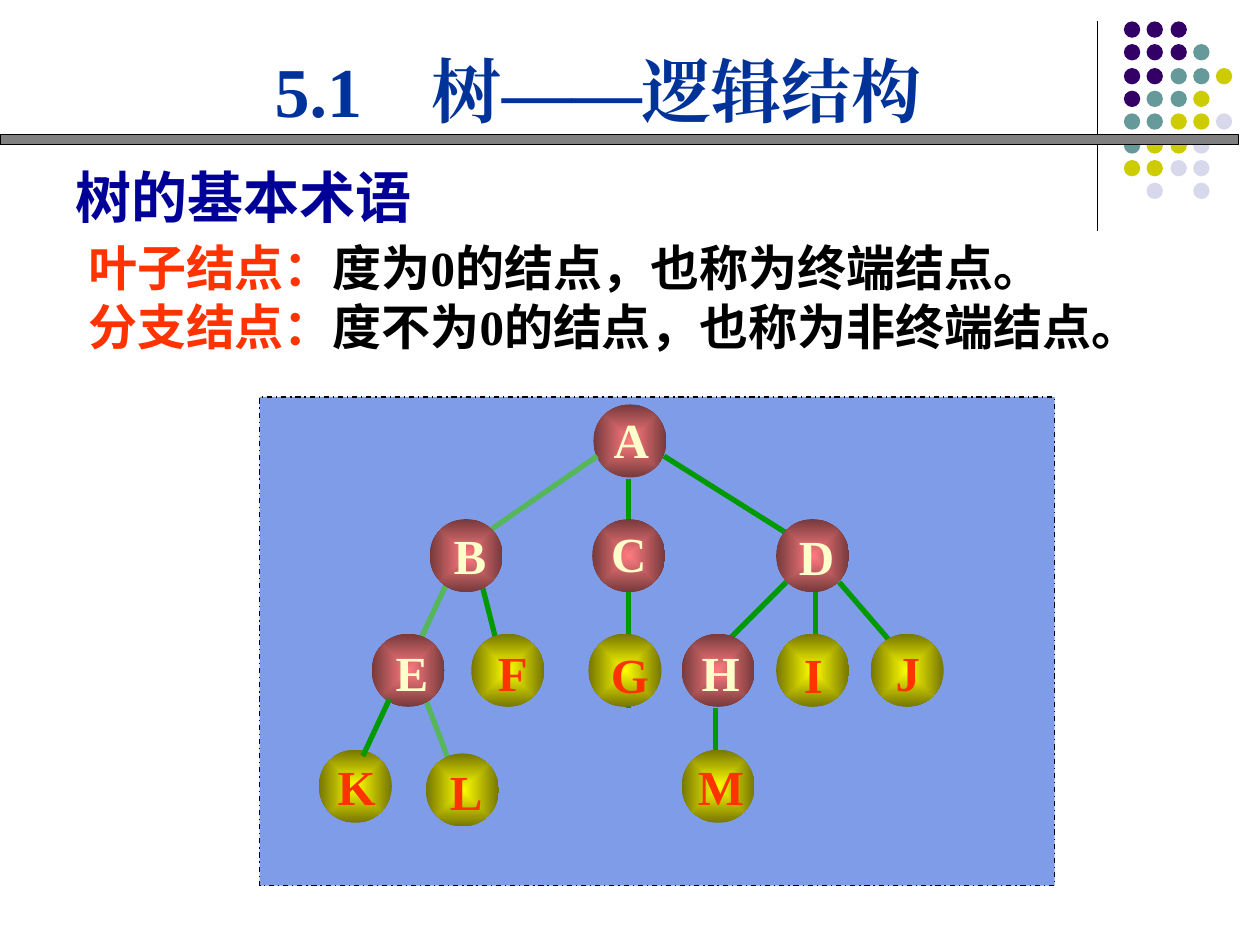
from lxml import etree
from pptx import Presentation
from pptx import util as u
from pptx.dml.color import RGBColor
from pptx.enum import dml, shapes, text
from pptx.oxml import ns

PX = 9144
SERIF, SANS, HEADING = "Times New Roman", "Noto Sans CJK SC", "Arial"
BLACK, GREEN, PALE_GREEN, RED, CREAM = "000000", "009900", "55B75A", "FF3300", "FFFFCC"
DOT_COLOURS = {"P": "330066", "T": "669999", "Y": "CCCC00", "L": "D8D8EC"}
DOT_ROWS = ["PPP", "PPPT", "PPTTY", "PTTY", "TTYYL", "TYYL", "YYLL", ".L.L"]
NODE_SIZE = 58
BRANCH, LEAF = ("FF7C80", "76393B", CREAM), ("FFFF00", "767600", RED)
ROOT = ("A", 471, 321, BRANCH, (477, 320, 48))
NODES = [
    ("B", 341, 412, BRANCH, (350, 412, 46)),
    ("C", 470, 412, BRANCH, (475, 410, 48)),
    ("D", 616, 412, BRANCH, (624, 413, 48)),
    ("E", 295, 503, BRANCH, (304, 505, 46)),
    ("F", 374, 503, LEAF, (385, 505, 44)),
    ("G", 467, 503, LEAF, (475, 506, 50)),
    ("H", 541, 503, BRANCH, (547, 505, 50)),
    ("I", 616, 503, LEAF, (628, 506, 35)),
    ("J", 691, 503, LEAF, (701, 505, 39)),
    ("K", 253, 595, LEAF, (258, 595, 50)),
    ("L", 338, 598, LEAF, (347, 599, 46)),
    ("M", 541, 595, LEAF, (544, 595, 56)),
]
EDGES = [
    (666, 462, 716, 520, GREEN),
    (624, 462, 574, 512, GREEN),
    (647, 470, 647, 512, GREEN),
    (568, 562, 568, 612, GREEN),
    (527, 362, 632, 428, GREEN),
    (474, 362, 390, 420, PALE_GREEN),
    (499, 380, 499, 562, GREEN),
    (382, 462, 397, 521, GREEN),
    (337, 553, 356, 603, PALE_GREEN),
    (355, 462, 334, 507, PALE_GREEN),
]
EDGE_TO_K = (309, 555, 288, 600, GREEN)
TERMS = [
    ("叶子结点：", "度为", "的结点，也称为终端结点。"),
    ("分支结点：", "度不为", "的结点，也称为非终端结点。"),
]


def px(*lengths):
    """Turn pixel lengths into EMU."""
    return [u.Emu(length * PX) for length in lengths]


def colour(value):
    """Turn a hex string into a colour."""
    return RGBColor.from_string(value)


def add_shape(parent, kind, box, fill, line=None):
    """Add a preset shape with a flat fill and an optional thin outline."""
    shape = parent.shapes.add_shape(kind, *px(*box))
    shape.shadow.inherit = False
    shape.fill.solid()
    shape.fill.fore_color.rgb = colour(fill)
    if line:
        shape.line.color.rgb = colour(line)
        shape.line.width = u.Pt(0.75)
    else:
        shape.line.fill.background()
    return shape


def add_line(parent, left, top, right, bottom, line, width=3):
    """Add a straight line without a shadow."""
    connector = parent.shapes.add_connector(
        shapes.MSO_CONNECTOR.STRAIGHT, *px(left, top, right, bottom))
    connector.line.color.rgb = colour(line)
    connector.line.width = u.Pt(width)
    etree.SubElement(connector._element.spPr, ns.qn("a:effectLst"))


def add_run(paragraph, words, size, font, fill):
    """Add a bold run in one font for Latin and East Asian text."""
    run = paragraph.add_run()
    run.text = words
    run.font.size = u.Pt(size)
    run.font.bold = True
    run.font.name = font
    run.font.color.rgb = colour(fill)
    east_asian = etree.Element(ns.qn("a:ea"), typeface=font)
    run._r.rPr.find(ns.qn("a:latin")).addnext(east_asian)


def format_frame(shape, anchor=text.MSO_ANCHOR.TOP, side=10, wrap=True):
    """Set the margins, anchor and wrapping and return the text frame."""
    frame = shape.text_frame
    frame.margin_left, frame.margin_right = px(side, side)
    frame.margin_top, frame.margin_bottom = px(5, 5)
    frame.vertical_anchor = anchor
    frame.word_wrap = wrap
    frame.auto_size = text.MSO_AUTO_SIZE.SHAPE_TO_FIT_TEXT
    return frame


def add_node(parent, letter, left, top, style, label):
    """Add a tree node as a circle with a gradient from its centre."""
    circle = add_shape(parent, shapes.MSO_SHAPE.OVAL,
                       (left, top, NODE_SIZE, NODE_SIZE), style[0])
    circle.fill.gradient()
    gradient = circle._element.spPr.find(ns.qn("a:gradFill"))
    for child in list(gradient):
        gradient.remove(child)
    stops = etree.SubElement(gradient, ns.qn("a:gsLst"))
    for position, value in (("0", style[0]), ("100000", style[1])):
        stop = etree.SubElement(stops, ns.qn("a:gs"), pos=position)
        etree.SubElement(stop, ns.qn("a:srgbClr"), val=value)
    path = etree.SubElement(gradient, ns.qn("a:path"), path="rect")
    etree.SubElement(path, ns.qn("a:fillToRect"),
                     **dict.fromkeys("ltrb", "50000"))


def add_label(parent, letter, left, top, style, label):
    """Add the letter of a tree node."""
    x, y, width = label
    box = parent.shapes.add_textbox(*px(x, y, width, 57))
    frame = format_frame(box, text.MSO_ANCHOR.MIDDLE, wrap=False)
    frame.paragraphs[0].alignment = text.PP_ALIGN.CENTER
    add_run(frame.paragraphs[0], letter, 28, SERIF, style[2])


def add_dots(slide):
    """Add the corner grid of coloured dots."""
    group = slide.shapes.add_group_shape()
    for row, codes in enumerate(DOT_ROWS):
        for column, code in enumerate(codes):
            if code in DOT_COLOURS:
                box = (892 + round(column * 18.3), 17 + round(row * 18.3), 13, 13)
                add_shape(group, shapes.MSO_SHAPE.OVAL, box, DOT_COLOURS[code])


def add_title(slide):
    """Place and format the slide title."""
    title = slide.shapes.title
    title.left, title.top, title.width, title.height = px(208, 33, 548, 77)
    paragraph = format_frame(title).paragraphs[0]
    paragraph.alignment = text.PP_ALIGN.JUSTIFY
    add_run(paragraph, "5.1　树——逻辑结构", 40, SERIF, "003399")


def add_terms(slide):
    """Add the definitions of leaf and branch nodes."""
    box = slide.shapes.add_textbox(*px(70, 189, 882, 99))
    frame = format_frame(box, side=0)
    for index, (term, start, end) in enumerate(TERMS):
        paragraph = frame.add_paragraph() if index else frame.paragraphs[0]
        paragraph.line_spacing = 0.9
        if index:
            paragraph.space_before = u.Pt(3.5)
        add_run(paragraph, term, 28, SANS, RED)
        add_run(paragraph, start, 28, SANS, BLACK)
        add_run(paragraph, "0", 28, SERIF, BLACK)
        add_run(paragraph, end, 28, SANS, BLACK)


def add_tree(slide):
    """Add the panel with the tree diagram."""
    group = slide.shapes.add_group_shape()
    panel = add_shape(group, shapes.MSO_SHAPE.RECTANGLE,
                      (206, 315, 631, 388), "7E9CE8", BLACK)
    panel.line.dash_style = dml.MSO_LINE.DASH_DOT
    add_node(group, *ROOT)
    for edge in EDGES:
        add_line(group, *edge)
    for node in NODES:
        add_node(group, *node)
    for node in [ROOT, *NODES]:
        add_label(group, *node)
    add_line(group, *EDGE_TO_K)


def main():
    """Build the slide and save it."""
    presentation = Presentation()
    presentation.slide_width, presentation.slide_height = px(1000, 750)
    slide = presentation.slides.add_slide(presentation.slide_layouts[5])
    add_line(slide, 871, 17, 871, 183, BLACK, 0.75)
    add_dots(slide)
    add_shape(slide, shapes.MSO_SHAPE.RECTANGLE, (0, 107, 983, 8), "808080", BLACK)
    add_title(slide)
    add_terms(slide)
    add_tree(slide)
    heading = slide.shapes.add_textbox(*px(50, 124, 433, 64))
    add_run(format_frame(heading).paragraphs[0], "树的基本术语", 32, HEADING, "000099")
    presentation.save("out.pptx")


if __name__ == "__main__":
    main()
